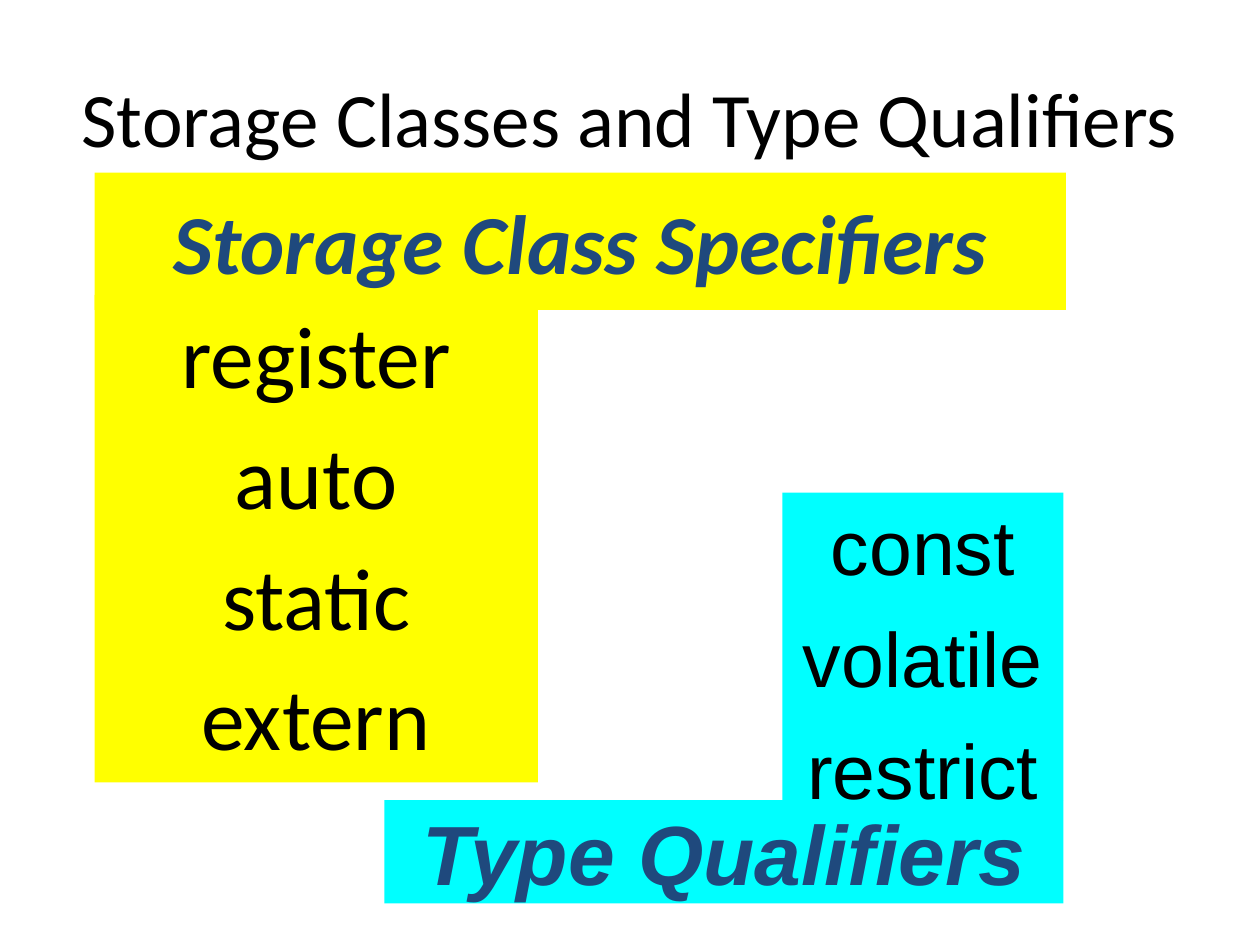
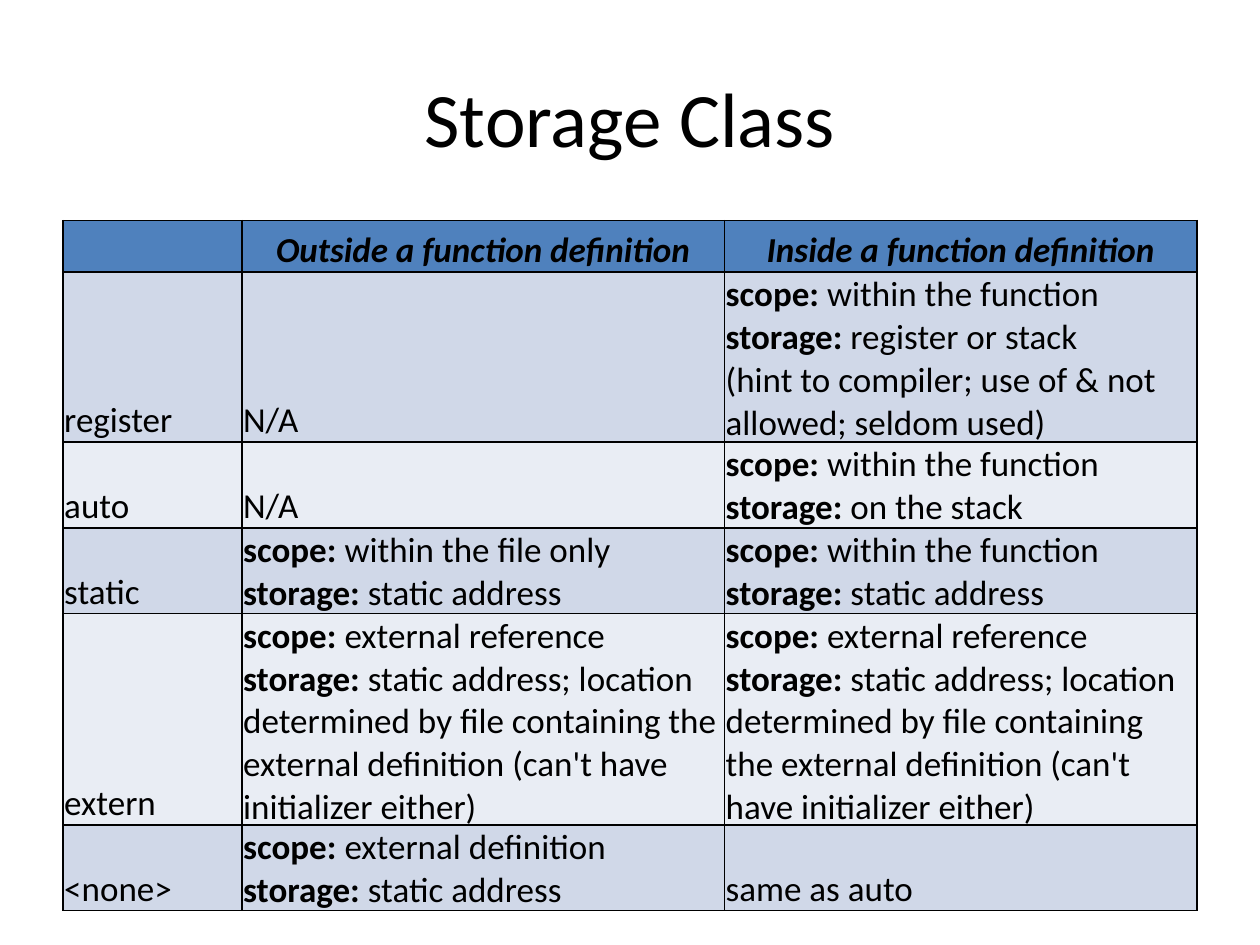
from dataclasses import dataclass

from lxml import etree
from pptx import Presentation
from pptx.dml.color import RGBColor
from pptx.enum.shapes import MSO_SHAPE
from pptx.enum.text import MSO_ANCHOR, PP_ALIGN
from pptx.oxml.ns import qn
from pptx.util import Inches, Pt

RECT = MSO_SHAPE.RECTANGLE
TOP, MIDDLE, BOTTOM = MSO_ANCHOR.TOP, MSO_ANCHOR.MIDDLE, MSO_ANCHOR.BOTTOM
LEFT, CENTER = PP_ALIGN.LEFT, PP_ALIGN.CENTER


@dataclass(frozen=True)
class Theme:
    text: str = "000000"
    heading: str = "1F497D"
    specifiers: str = "FFFF00"
    qualifiers: str = "00FFFF"
    header: str = "4F81BD"
    bands: tuple = ("D0D8E8", "E9EDF4")
    sans: str = "Calibri"
    alt: str = "Arial"
    title_pt: int = 44
    heading_pt: int = 48
    table_pt: int = 20
    border_pt: int = 1


T = Theme()

TITLES = ("Storage Classes and Type Qualifiers", "Storage Class")
TITLE_BOX = (0.5, 0.3, 9, 1.25)

# Boxes are left, top, width, height in inches, listed from back to front.
KEYWORD_GROUPS = [
    {"fill": T.qualifiers, "font": T.alt, "parts": [
        {"box": (6.21, 3.91, 2.23, 2.44), "size": 44, "gap": 11,
         "lines": ["const", "volatile", "restrict"]},
        {"box": (3.05, 6.35, 5.39, 0.82), "heading": "Type Qualifiers"},
    ]},
    {"fill": T.specifiers, "font": T.sans, "parts": [
        {"box": (0.75, 1.37, 7.71, 1.09), "heading": "Storage Class Specifiers"},
        {"box": (0.75, 2.34, 3.52, 3.87), "size": 50, "gap": 9,
         "lines": ["register", "auto", "static", "extern"]},
    ]},
]

LABELS = ("scope:", "storage:")
IN_FUNCTION = "scope: within the function"
STATIC = "storage: static address"
EXTERNAL = ["scope: external reference",
            STATIC + "; location determined by file containing the "
            "external definition (can't have initializer either)"]
HEADER = ["", "Outside a function definition", "Inside a function definition"]
ROWS = [
    (["register"], ["N/A"],
     [IN_FUNCTION, "storage: register or stack",
      "(hint to compiler; use of & not allowed; seldom used)"]),
    (["auto"], ["N/A"], [IN_FUNCTION, "storage: on the stack"]),
    (["static"], ["scope: within the file only", STATIC], [IN_FUNCTION, STATIC]),
    (["extern"], EXTERNAL, EXTERNAL),
    (["<none>"], ["scope: external definition", STATIC], ["same as auto"]),
]
TABLE_BOX = (0.5, 1.75, 9, 5.15)
COL_WIDTHS = (1.42, 3.83, 3.75)
ROW_HEIGHTS = (0.41, 1.35, 0.68, 0.68, 1.35, 0.68)
CELL_MARGINS = {"margin_left": 0.01, "margin_top": 0.01,
                "margin_right": 0.01, "margin_bottom": 0}


def inches(box):
    return [Inches(v) for v in box]


def set_fill(target, color):
    target.fill.solid()
    target.fill.fore_color.rgb = RGBColor.from_string(color)


def add_run(p, text, size, font=T.sans, color=T.text, **style):
    r = p.add_run()
    r.text = text
    for name, value in {"name": font, "size": Pt(size), **style}.items():
        setattr(r.font, name, value)
    r.font.color.rgb = RGBColor.from_string(color)


def add_title(s, text):
    tf = s.shapes.add_textbox(*inches(TITLE_BOX)).text_frame
    tf.word_wrap = True
    tf.vertical_anchor = MIDDLE
    p = tf.paragraphs[0]
    p.alignment = CENTER
    add_run(p, text, T.title_pt)


def add_block(shapes, part, fill, font):
    """Add a filled rectangle holding either a heading or a keyword list."""
    sp = shapes.add_shape(RECT, *inches(part["box"]))
    sp.shadow.inherit = False
    set_fill(sp, fill)
    sp.line.fill.background()
    tf = sp.text_frame
    tf.word_wrap = True
    if "heading" in part:
        tf.vertical_anchor = MIDDLE
        lines, size = [part["heading"]], T.heading_pt
        style = {"color": T.heading, "bold": True, "italic": True}
    else:
        tf.vertical_anchor = TOP
        lines, size, style = part["lines"], part["size"], {}
    for i, line in enumerate(lines):
        p = tf.add_paragraph() if i else tf.paragraphs[0]
        p.alignment = CENTER
        if i:
            p.space_before = Pt(part["gap"])
        add_run(p, line, size, font, **style)


def set_borders(cell):
    tc_pr = cell._tc.get_or_add_tcPr()
    for i, side in enumerate(("lnL", "lnR", "lnT", "lnB")):
        ln = etree.Element(qn(f"a:{side}"), w=str(Pt(T.border_pt)))
        solid = etree.SubElement(ln, qn("a:solidFill"))
        etree.SubElement(solid, qn("a:srgbClr"), val=T.text)
        tc_pr.insert(i, ln)


def fill_cell(cell, lines, fill, align=LEFT, **style):
    """Write lines into one paragraph, with any leading label in bold."""
    for name, value in CELL_MARGINS.items():
        setattr(cell, name, Inches(value))
    cell.vertical_anchor = BOTTOM
    set_fill(cell, fill)
    set_borders(cell)
    p = cell.text_frame.paragraphs[0]
    p.alignment = align
    for i, line in enumerate(lines):
        if i:
            p.add_line_break()
        label = next((x for x in LABELS if line.startswith(x)), "")
        if label:
            add_run(p, label, T.table_pt, bold=True)
        add_run(p, line[len(label):], T.table_pt, **{"bold": False, **style})


def add_storage_table(s):
    table = s.shapes.add_table(len(ROWS) + 1, len(HEADER),
                               *inches(TABLE_BOX)).table
    for column, width in zip(table.columns, COL_WIDTHS):
        column.width = Inches(width)
    for row, height in zip(table.rows, ROW_HEIGHTS):
        row.height = Inches(height)
    for c, text in enumerate(HEADER):
        fill_cell(table.cell(0, c), [text], T.header, CENTER,
                  bold=True, italic=True)
    for r, row in enumerate(ROWS):
        for c, lines in enumerate(row):
            fill_cell(table.cell(r + 1, c), lines, T.bands[r % 2])


def main():
    prs = Presentation()
    prs.slide_width, prs.slide_height = Inches(10), Inches(7.5)
    blank = prs.slide_layouts[6]
    overview, details = [prs.slides.add_slide(blank) for _ in TITLES]

    for group in KEYWORD_GROUPS:
        shapes = overview.shapes.add_group_shape().shapes
        for part in group["parts"]:
            add_block(shapes, part, group["fill"], group["font"])
    for s, title in zip((overview, details), TITLES):
        add_title(s, title)
    add_storage_table(details)

    prs.save("out.pptx")


if __name__ == "__main__":
    main()
